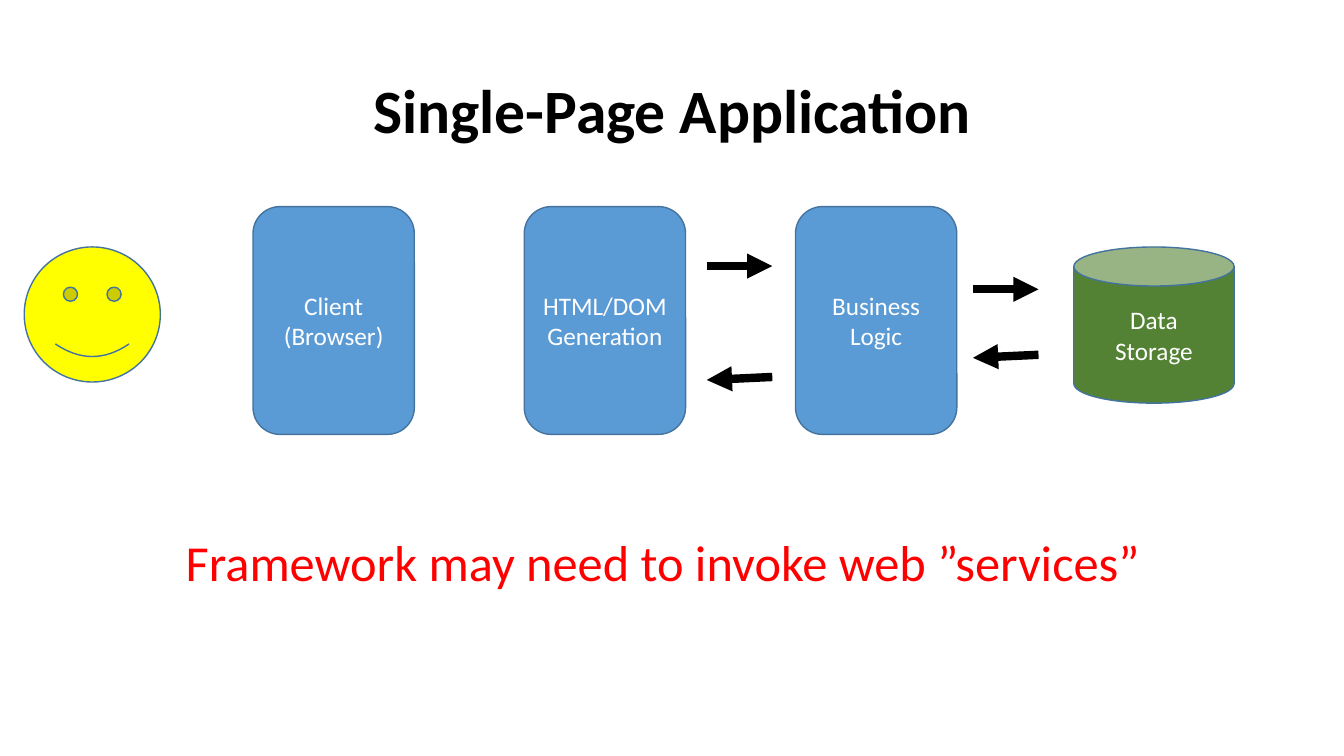
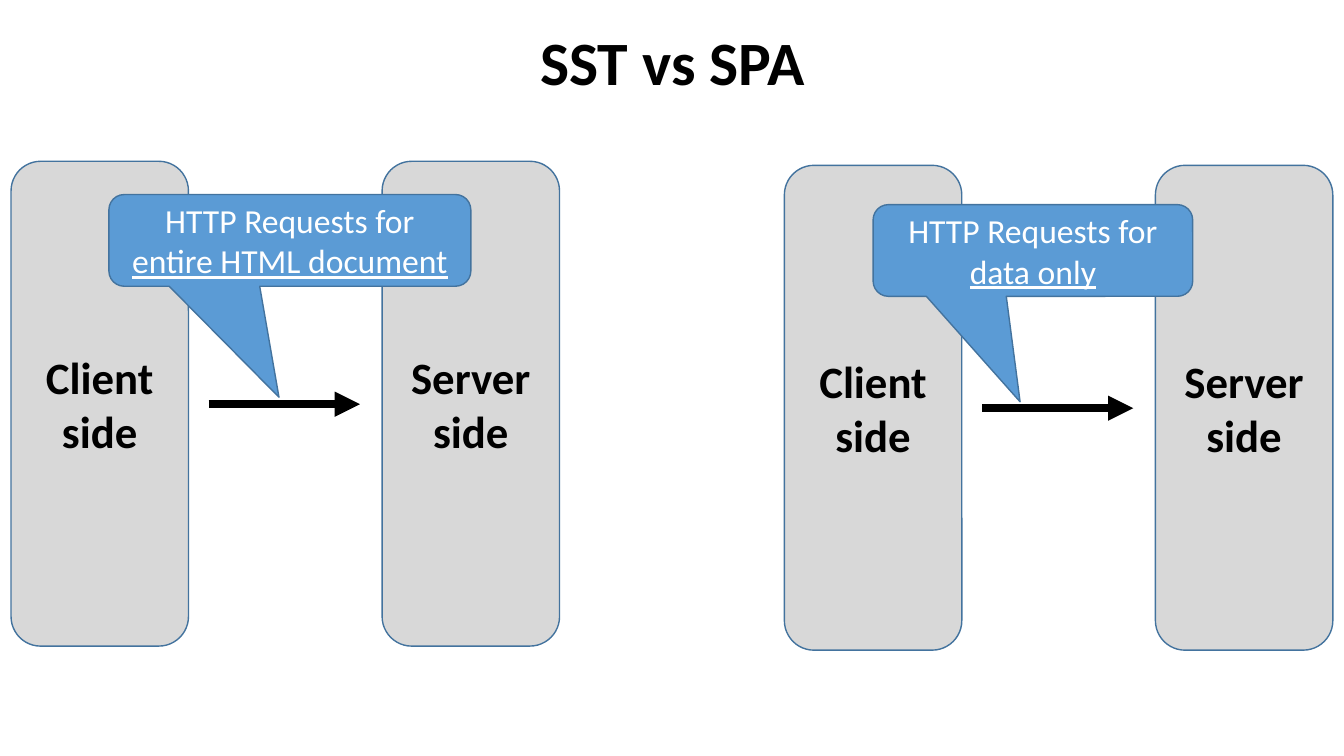
from lxml import etree
from pptx import Presentation
from pptx.dml.color import RGBColor
from pptx.enum.shapes import MSO_CONNECTOR, MSO_SHAPE as SHAPE
from pptx.enum.text import MSO_ANCHOR as ANCHOR, PP_ALIGN as ALIGN
from pptx.oxml.ns import qn
from pptx.util import Emu, Pt

# Shared scale, colours and text formats
PX = 9144  # EMU per px, 100 px to the inch
SLIDE_W, SLIDE_H = 1333, 750
TITLE_ONLY = 5

BLACK = RGBColor(0x00, 0x00, 0x00)
WHITE = RGBColor(0xFF, 0xFF, 0xFF)
RED = RGBColor(0xFF, 0x00, 0x00)
YELLOW = RGBColor(0xFF, 0xFF, 0x00)
BLUE = RGBColor(0x5B, 0x9B, 0xD5)
OUTLINE = RGBColor(0x43, 0x73, 0x9E)
GREEN = RGBColor(0x54, 0x82, 0x35)
GREY = RGBColor(0x80, 0x80, 0x80)

FONT = "Calibri"
TITLE = {"size": Pt(44), "bold": True, "color": BLACK}
LABEL = {"size": Pt(18), "color": WHITE}
SIDE = {"size": Pt(32), "bold": True, "color": BLACK}
REQUEST = {"size": Pt(24), "color": WHITE}
REMARK = {"size": Pt(36), "color": RED}


def px(*lengths):
    return [Emu(length * PX) for length in lengths]


def write(frame, lines, style, anchor=ANCHOR.MIDDLE, spacing=None):
    """Fill a text frame with one centred paragraph per line."""
    frame.word_wrap = True
    frame.vertical_anchor = anchor
    for index, line in enumerate(lines):
        paragraph = frame.paragraphs[0] if index == 0 else frame.add_paragraph()
        paragraph.alignment = ALIGN.CENTER
        if spacing:
            paragraph.line_spacing = spacing
        run = paragraph.add_run()
        run.text = line
        run.font.name = FONT
        for name, value in style.items():
            if name == "color":
                run.font.color.rgb = value
            else:
                setattr(run.font, name, value)


def add_titled_slide(deck, text, box):
    slide = deck.slides.add_slide(deck.slide_layouts[TITLE_ONLY])
    title = slide.shapes.title
    title.left, title.top, title.width, title.height = px(*box)
    write(title.text_frame, [text], TITLE, spacing=0.9)
    return slide


def add_block(slide, kind, box, fill, lines=(), style=LABEL):
    """Outlined preset shape with centred text."""
    block = slide.shapes.add_shape(kind, *px(*box))
    block.shadow.inherit = False
    block.fill.solid()
    block.fill.fore_color.rgb = fill
    block.line.color.rgb = OUTLINE
    block.line.width = Pt(1)
    write(block.text_frame, lines, style)
    return block


def add_arrow(slide, start, end):
    arrow = slide.shapes.add_connector(MSO_CONNECTOR.STRAIGHT, *px(*start, *end))
    arrow.line.color.rgb = BLACK
    arrow.line.width = Pt(6)
    etree.SubElement(arrow.line._get_or_add_ln(), qn("a:tailEnd"), type="triangle")
    etree.SubElement(arrow._element.spPr, qn("a:effectLst"))


def add_exchange(slide, left, request_y, reply_y):
    """Request arrow to the right, slightly slanted reply arrow below it."""
    right = left + 65
    add_arrow(slide, (left, request_y), (right, request_y))
    add_arrow(slide, (right, reply_y), (left, reply_y + 3))


def add_tiers(slide, left, top):
    """User, three application tiers and the data store."""
    add_block(slide, SHAPE.SMILEY_FACE, (left, top + 40, 135, 134), YELLOW)
    tiers = (["Client", "(Browser)"], ["HTML/DOM Generation"], ["Business Logic"])
    for index, lines in enumerate(tiers):
        box = (left + 227 + index * 269, top, 160, 226)
        add_block(slide, SHAPE.ROUNDED_RECTANGLE, box, BLUE, lines)
    add_block(slide, SHAPE.CAN, (left + 1041, top + 40, 159, 155), GREEN,
              ["Data", "Storage"])
    add_exchange(slide, left + 677, top + 59, top + 169)
    add_exchange(slide, left + 941, top + 82, top + 147)


def add_remark(slide, text, box):
    remark = slide.shapes.add_textbox(*px(*box))
    write(remark.text_frame, [text], REMARK, ANCHOR.TOP)


def add_request_panel(slide, left, top, payload, callout_box, pointer):
    """Client and server columns, the arrow between them and its callout."""
    for offset, side in ((0, "Client"), (368, "Server")):
        column = add_block(slide, SHAPE.ROUNDED_RECTANGLE,
                           (left + offset, top, 176, 481), GREY, [side, "side"], SIDE)
        tint = column._element.spPr.find(f"{qn('a:solidFill')}/{qn('a:srgbClr')}")
        etree.SubElement(tint, qn("a:alpha"), val="30000")
    add_arrow(slide, (left + 196, top + 241), (left + 346, top + 241))

    # Callout, with its payload underlined
    x, y, width, height = callout_box
    callout = add_block(slide, SHAPE.ROUNDED_RECTANGULAR_CALLOUT,
                        (left + x, top + y, width, height), BLUE,
                        ["HTTP Requests for", payload], REQUEST)
    callout.adjustments[0], callout.adjustments[1] = pointer
    callout.text_frame.paragraphs[-1].runs[0].font.underline = True


def build_application_slide(deck):
    slide = add_titled_slide(deck, "Single-Page Application", (92, 40, 1150, 145))
    add_tiers(slide, 24, 205)
    add_remark(slide, "Framework may need to invoke web ”services”",
               (73, 522, 1169, 71))


def build_comparison_slide(deck):
    slide = add_titled_slide(deck, "SST vs SPA", (92, 1, 1150, 129))
    add_request_panel(slide, 11, 160, "entire HTML document",
                      (97, 33, 359, 91), (-0.03, 1.71))
    add_request_panel(slide, 778, 164, "data only",
                      (88, 39, 317, 91), (-0.04, 1.65))


def main():
    deck = Presentation()
    deck.slide_width, deck.slide_height = px(SLIDE_W, SLIDE_H)
    build_application_slide(deck)
    build_comparison_slide(deck)
    deck.save("out.pptx")


if __name__ == "__main__":
    main()
